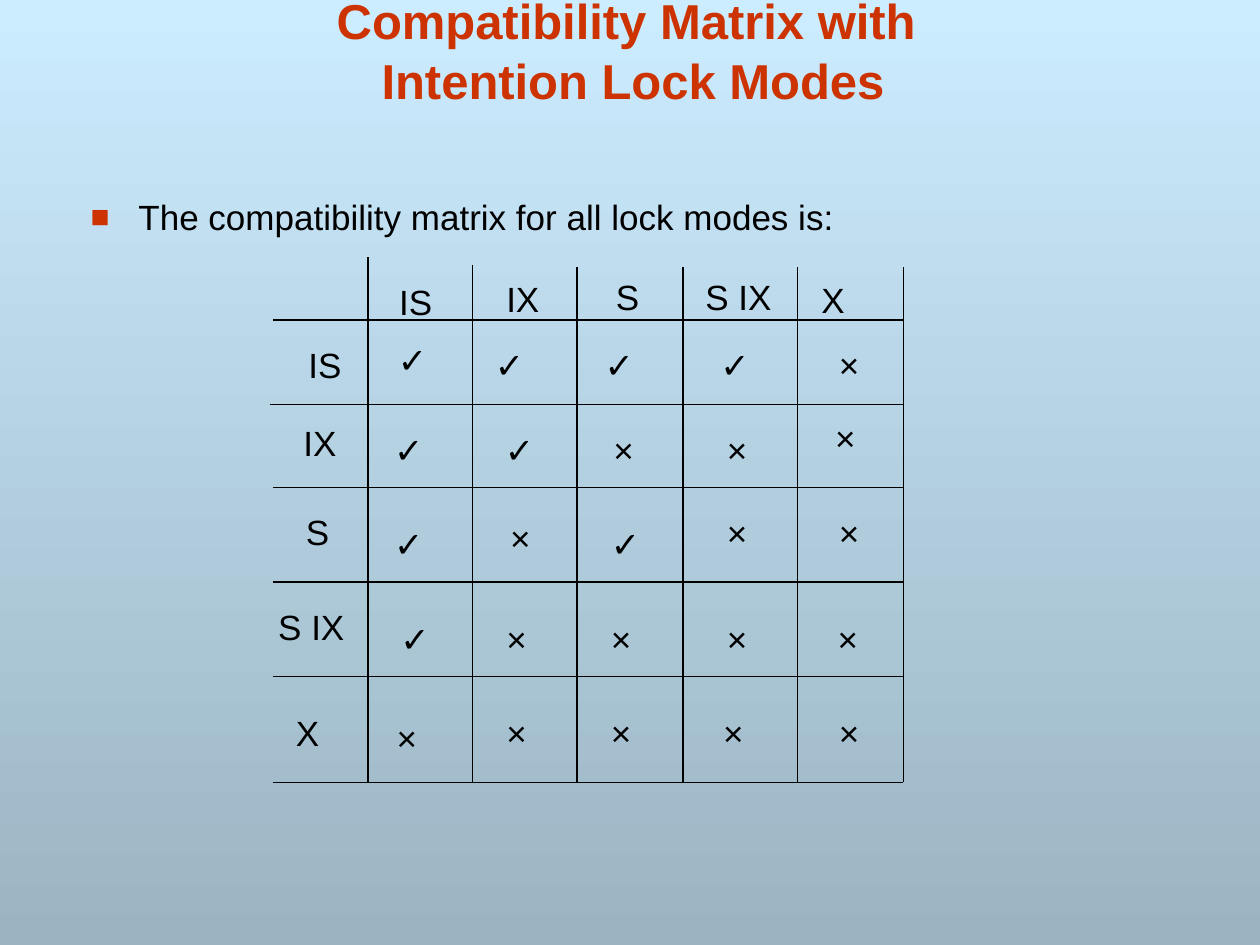
from lxml import etree
from pptx import Presentation
from pptx.dml.color import RGBColor
from pptx.enum import shapes, text
from pptx.oxml import ns
from pptx.util import Inches, Pt

RED = RGBColor(0xCC, 0x33, 0x00)
BLACK = RGBColor(0x00, 0x00, 0x00)
SKY = RGBColor(0xCC, 0xEC, 0xFF)
SLATE = RGBColor(0x9B, 0xB4, 0xC2)

presentation = Presentation()
presentation.slide_width = Inches(10)
presentation.slide_height = Inches(7.5)
slide = presentation.slides.add_slide(presentation.slide_layouts[6])


def add_text(wording, left, top, width, height, size=20, color=BLACK, bold=False):
    box = slide.shapes.add_textbox(Inches(left), Inches(top), Inches(width), Inches(height))
    box.text_frame.text = wording
    for run in box.text_frame.paragraphs[0].runs:
        run.font.name = "Arial"
        run.font.size = Pt(size)
        run.font.bold = bold
        run.font.color.rgb = color
    return box.text_frame


def add_line(x1, y1, x2, y2):
    line = slide.shapes.add_connector(
        shapes.MSO_CONNECTOR.STRAIGHT, Inches(x1), Inches(y1), Inches(x2), Inches(y2))
    line.line.color.rgb = BLACK
    line.line.width = Pt(0.75)
    etree.SubElement(line._element.spPr, ns.qn("a:effectLst"))


# Background gradient, light at the top
background = slide.background.fill
background.gradient()
background.gradient_angle = 270
for stop, color, position in zip(background.gradient_stops, (SKY, SLATE), (0, 1)):
    stop.color.rgb = color
    stop.position = position

# Title
title = add_text("Compatibility Matrix with\v Intention Lock Modes",
                 0.18, 0.25, 9.58, 0.67, size=28, color=RED, bold=True)
title.word_wrap = True
title.vertical_anchor = text.MSO_ANCHOR.BOTTOM
title.paragraphs[0].alignment = text.PP_ALIGN.CENTER
title.paragraphs[0].line_spacing = 1.02

# Bulleted statement
body = add_text("The compatibility matrix for all lock modes is:", 0.62, 1.5, 8.58, 4.83)
body.word_wrap = True
properties = body.paragraphs[0]._p.get_or_add_pPr()
properties.set("marL", str(Inches(0.38)))
properties.set("indent", str(Inches(-0.38)))
bullet_color = etree.SubElement(properties, ns.qn("a:buClr"))
etree.SubElement(bullet_color, ns.qn("a:srgbClr"), val=str(RED))
etree.SubElement(properties, ns.qn("a:buSzPct"), val="90000")
etree.SubElement(properties, ns.qn("a:buFont"), typeface="Arial")
etree.SubElement(properties, ns.qn("a:buChar"), char="■")

# Matrix rules
right, bottom = 7.17, 6.21
for x, top in ((2.92, 2.04), (3.75, 2.1), (4.58, 2.12), (5.42, 2.12), (6.33, 2.12), (right, 2.12)):
    add_line(x, top, x, bottom)
for y, left in ((2.54, 2.17), (3.21, 2.14), (3.87, 2.17), (4.62, 2.17), (5.37, 2.17), (bottom, 2.17)):
    add_line(left, y, right, y)

# Matrix entries, row by row: wording, left, top
entries = (
    (("IS", 3.07, 2.18), ("IX", 3.92, 2.15), ("S", 4.79, 2.14),
     ("S IX", 5.5, 2.14), ("X", 6.42, 2.16)),
    (("IS", 2.35, 2.68), ("✓", 3.06, 2.64), ("✓", 3.83, 2.68),
     ("✓", 4.7, 2.68), ("✓", 5.62, 2.68), ("×", 6.56, 2.68)),
    (("IX", 2.31, 3.3), ("✓", 3.03, 3.35), ("✓", 3.91, 3.35),
     ("×", 4.77, 3.35), ("×", 5.67, 3.35), ("×", 6.53, 3.26)),
    (("S", 2.33, 4), ("✓", 3.03, 4.1), ("×", 3.95, 4.05),
     ("✓", 4.75, 4.1), ("×", 5.67, 4.01), ("×", 6.56, 4.01)),
    (("S IX", 2.11, 4.76), ("✓", 3.08, 4.85), ("×", 3.92, 4.85),
     ("×", 4.75, 4.85), ("×", 5.67, 4.85), ("×", 6.55, 4.85)),
    (("X", 2.25, 5.6), ("×", 3.05, 5.64), ("×", 3.92, 5.6),
     ("×", 4.75, 5.6), ("×", 5.64, 5.6), ("×", 6.56, 5.6)),
)
entry_widths = {"IS": 0.46, "IX": 0.46, "S": 0.38, "S IX": 0.76, "X": 0.46, "✓": 0.43, "×": 0.42}
for row in entries:
    for wording, left, top in row:
        entry = add_text(wording, left, top, entry_widths[wording], 0.44)
        entry.word_wrap = False
        entry.auto_size = text.MSO_AUTO_SIZE.SHAPE_TO_FIT_TEXT

presentation.save("out.pptx")
